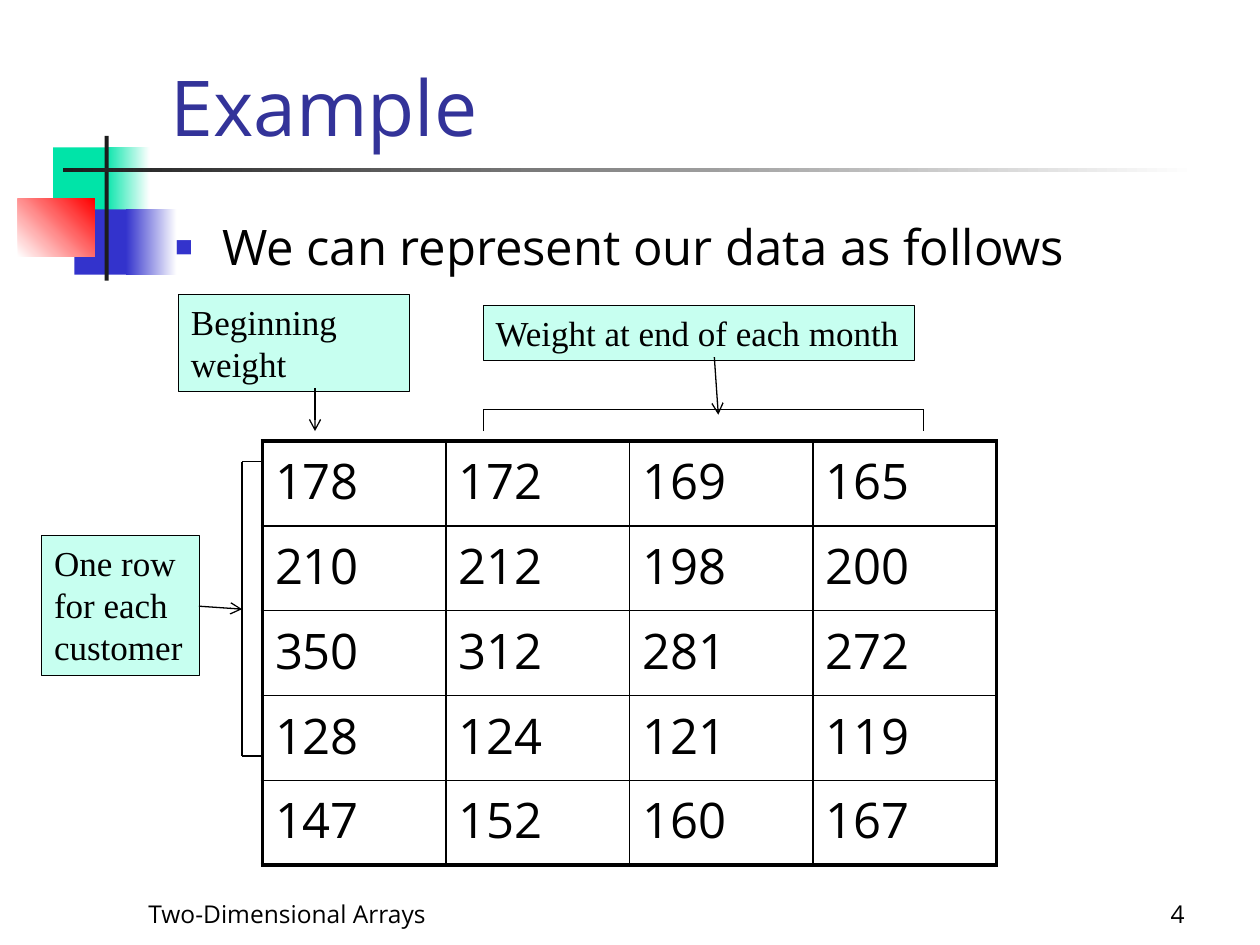
from lxml import etree
from pptx import Presentation
from pptx.dml.color import RGBColor
from pptx.enum.shapes import MSO_CONNECTOR, MSO_SHAPE
from pptx.enum.text import MSO_ANCHOR, MSO_AUTO_SIZE, PP_ALIGN
from pptx.oxml.ns import qn
from pptx.util import Cm, Pt

RECT = MSO_SHAPE.RECTANGLE
LINE = MSO_CONNECTOR.STRAIGHT
LEFT, RIGHT = PP_ALIGN.LEFT, PP_ALIGN.RIGHT
TOP, BOTTOM = MSO_ANCHOR.TOP, MSO_ANCHOR.BOTTOM
FIXED, GROW = MSO_AUTO_SIZE.NONE, MSO_AUTO_SIZE.SHAPE_TO_FIT_TEXT
SANS, SERIF = "Open Sans", "Times New Roman"
BLACK, WHITE, DARK = "000000", "FFFFFF", "1C1C1C"
GREEN, BLUE, RED, MINT = "00E4A8", "3333CC", "FF0000", "C7FFF0"

TITLE = "Example"
POINT = "We can represent our data as follows"
FOOT = [
    ("Two-Dimensional Arrays", (2.74, 17.58, 8.05, 1.27), LEFT),
    ("4", (18.85, 17.58, 5.28, 1.27), RIGHT),
]
DECOR = [
    ((1.07, 2.97, 1.22, 1.32), [GREEN], 0),
    ((2.11, 2.97, 0.91, 1.32), [GREEN, WHITE], 0),
    ((1.5, 4.22, 1.17, 1.32), [BLUE], 0),
    ((2.54, 4.22, 1.02, 1.32), [BLUE, WHITE], 0),
    ((0.36, 4.01, 1.55, 1.17), [WHITE, RED], 45),
    ((2.11, 2.74, 0.08, 2.92), [DARK], 0),
    ((1.27, 3.38, 22.86, 0.08), [DARK, WHITE], 0),
]
WEIGHTS = [
    (178, 172, 169, 165),
    (210, 212, 198, 200),
    (350, 312, 281, 272),
    (128, 124, 121, 119),
    (147, 152, 160, 167),
]
GRID = (5.29, 8.89)
COL, ROW = 3.7, 1.71
LABELS = [
    ("Weight at end of each month", (9.74, 6.15, 8.69, 1.12), False),
    ("One row for each customer", (0.84, 10.8, 3.18, 2.82), True),
    ("Beginning weight", (3.6, 5.93, 4.65, 1.96), True),
]
ARROWS = [
    ((4.01, 12.22), (4.88, 12.28)),
    ((14.4, 7.2), (14.48, 8.36)),
    ((6.35, 7.82), (6.35, 8.69)),
]
BRACKETS = [
    [(9.74, 8.69), (9.74, 8.26), (14.18, 8.26), (18.62, 8.26), (18.62, 8.69)],
    [(5.29, 9.31), (4.88, 9.31), (4.88, 12.28), (4.88, 15.24), (5.29, 15.24)],
]


def color(code):
    return RGBColor.from_string(code)


def box(nums):
    return [Cm(n) for n in nums]


def write(frame, text, size, font, code=BLACK, align=LEFT):
    para = frame.paragraphs[0]
    para.alignment = align
    run = para.add_run()
    run.text = text
    run.font.size, run.font.name = Pt(size), font
    run.font.color.rgb = color(code)
    return para


def setup(frame, anchor=TOP, wrap=True, fit=FIXED):
    frame.word_wrap = wrap
    frame.auto_size = fit
    frame.vertical_anchor = anchor
    return frame


def block(area, codes, angle=0):
    shape = slide.shapes.add_shape(RECT, *box(area))
    shape.shadow.inherit = False
    shape.line.fill.background()
    if len(codes) == 1:
        shape.fill.solid()
        shape.fill.fore_color.rgb = color(codes[0])
    else:
        shape.fill.gradient()
        shape.fill.gradient_angle = angle
        for stop, code in zip(shape.fill.gradient_stops, codes):
            stop.color.rgb = color(code)
    return shape


def textbox(area, anchor=TOP):
    return setup(slide.shapes.add_textbox(*box(area)).text_frame, anchor)


def bullet(para):
    props = para._p.get_or_add_pPr()
    props.set("marL", str(Cm(0.95)))
    props.set("indent", str(-Cm(0.95)))
    tint = etree.SubElement(props, qn("a:buClr"))
    etree.SubElement(tint, qn("a:srgbClr"), val=BLUE)
    etree.SubElement(props, qn("a:buSzPct"), val="60000")
    etree.SubElement(props, qn("a:buFont"), typeface="Arial")
    etree.SubElement(props, qn("a:buChar"), char="■")


def join(start, end, arrow=False):
    link = slide.shapes.add_connector(LINE, *box(start + end))
    link.line.color.rgb = color(BLACK)
    link.line.width = Pt(0.75)
    etree.SubElement(link._element.spPr, qn("a:effectLst"))
    if arrow:
        etree.SubElement(link.line._ln, qn("a:tailEnd"), type="arrow")


def border(cell, edges):
    props = cell._tc.get_or_add_tcPr()
    for side, outer in edges:
        line = etree.SubElement(props, qn("a:ln" + side))
        line.set("w", str(Pt(2.25 if outer else 1)))
        fill = etree.SubElement(line, qn("a:solidFill"))
        etree.SubElement(fill, qn("a:srgbClr"), val=BLACK)


def weights():
    rows, cols = len(WEIGHTS), len(WEIGHTS[0])
    area = GRID + (COL * cols, ROW * rows)
    table = slide.shapes.add_table(rows, cols, *box(area)).table
    table.first_row = table.horz_banding = False
    for col in table.columns:
        col.width = Cm(COL)
    for r, values in enumerate(WEIGHTS):
        table.rows[r].height = Cm(ROW)
        for c, value in enumerate(values):
            cell = table.cell(r, c)
            border(cell, [("L", c == 0), ("R", c == cols - 1),
                          ("T", r == 0), ("B", r == rows - 1)])
            cell.fill.background()
            write(cell.text_frame, str(value), 28, SANS)


deck = Presentation()
deck.slide_width, deck.slide_height = Cm(25.4), Cm(19.05)
slide = deck.slides.add_slide(deck.slide_layouts[5])

for area, codes, angle in DECOR:
    block(area, codes, angle)

title = slide.shapes.title
title.left, title.top, title.width, title.height = box((3.18, 0, 21.64, 3.18))
write(setup(title.text_frame, BOTTOM), TITLE, 44, SANS, "333399")

for text, area, align in FOOT:
    write(textbox(area, BOTTOM), text, 14, SANS, align=align)

bullet(write(textbox((3.28, 4.24, 19.58, 12.8)), POINT, 28, SANS))
weights()

for text, area, wrap in LABELS:
    label = block(area, [MINT])
    label.line.color.rgb = color(BLACK)
    label.line.width = Pt(0.5)
    write(setup(label.text_frame, TOP, wrap, GROW), text, 20, SERIF)

for start, end in ARROWS:
    join(start, end, True)
for points in BRACKETS:
    for start, end in zip(points, points[1:]):
        join(start, end)

deck.save("out.pptx")
